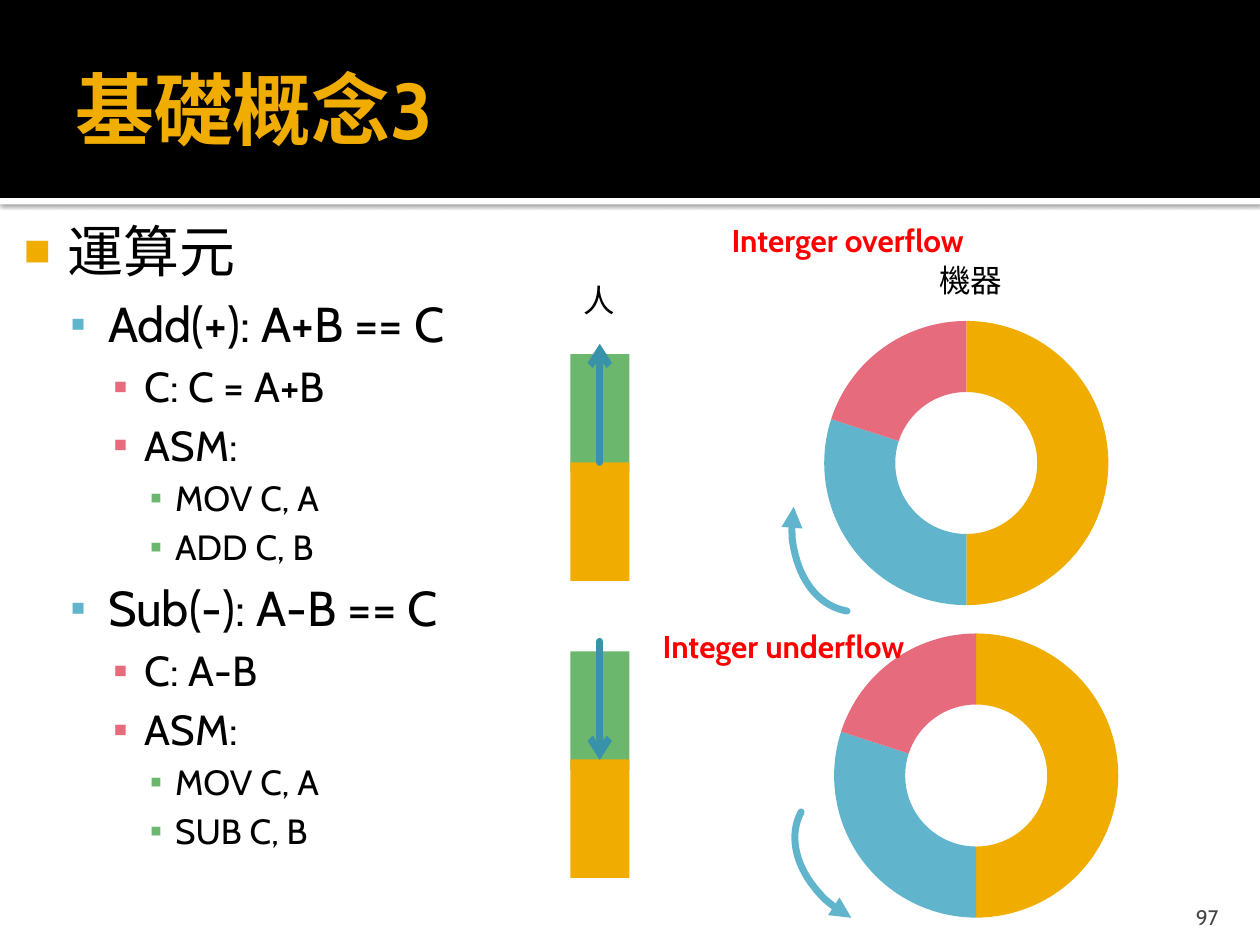
from lxml import etree
from pptx import Presentation
from pptx.chart.data import CategoryChartData
from pptx.dml.color import RGBColor
from pptx.enum.chart import XL_CHART_TYPE
from pptx.enum.shapes import MSO_CONNECTOR, MSO_SHAPE
from pptx.enum.text import MSO_ANCHOR, MSO_AUTO_SIZE, PP_ALIGN
from pptx.oxml import parse_xml
from pptx.oxml.ns import nsdecls, qn
from pptx.util import Cm, Pt

# Content; places and sizes are in centimetres
FONT = "Cabin"
GOLD, BLUE, PINK, GREEN = "F0AD00", "60B5CC", "E66C7D", "6BB76D"
BLACK, WHITE, RED, GREY, TEAL = "000000", "FFFFFF", "FF0000", "454545", "3792AA"

TITLE = "基礎概念3"
OUTLINE = [
    (0, "運算元"),
    (1, "Add(+): A+B == C"),
    (2, "C: C = A+B"),
    (2, "ASM:"),
    (3, "MOV C, A"),
    (3, "ADD C, B"),
    (1, "Sub(-): A-B == C"),
    (2, "C: A-B"),
    (2, "ASM:"),
    (3, "MOV C, A"),
    (3, "SUB C, B"),
]
# Per level: text size, left margin, hanging indent, bullet, its colour, its percent
LEVELS = [
    (32, 1.22, 0.89, "■", GOLD, 80),
    (28, 2.03, 0.76, "▪", BLUE, 90),
    (24, 2.77, 0.64, "▪", PINK, 100),
    (20, 3.38, 0.51, "▪", GREEN, 100),
]
LABELS = [
    ("人", (11.51, 5.54, 1.14, 1.02), BLACK, False),
    ("機器", (18.69, 5.13, 1.8, 1.02), BLACK, False),
    ("Integer underflow", (13.11, 12.52, 5.46, 1.02), RED, True),
    ("Interger overflow", (14.5, 4.32, 5.28, 1.02), RED, True),
]
SHARES = [("1", 50, GOLD), ("2", 30, BLUE), ("3", 20, PINK)]
RINGS = [(15.29, 6.12), (15.49, 12.42)]
# Stacked bars: top of the stack, arrow start, arrow end
STACKS = [(7.14, 9.32, 6.93), (13.13, 12.93, 15.32)]
# Curved arrows: left, top, rotation, flipped
ARCS = [(15.98, 8.53, 189.1, False), (16.43, 15.37, 118.4, True)]


def color(value):
    return RGBColor.from_string(value)


def place(*lengths):
    return [Cm(length) for length in lengths]


def add_filled(kind, area, fill):
    shape = page.shapes.add_shape(kind, *place(*area))
    shape.shadow.inherit = False
    shape.line.fill.background()
    shape.fill.solid()
    shape.fill.fore_color.rgb = color(fill)
    return shape


def set_font(para, size, fill, bold=False):
    font = para.font
    font.name, font.size, font.bold = FONT, Pt(size), bold
    font.color.rgb = color(fill)


def add_text(area, insets, anchor=MSO_ANCHOR.TOP, wrap=True):
    frame = page.shapes.add_textbox(*place(*area)).text_frame
    frame.word_wrap = wrap
    frame.vertical_anchor = anchor
    (frame.margin_left, frame.margin_top,
     frame.margin_right, frame.margin_bottom) = place(*insets)
    return frame


def add_line_arrow(shape, fill, head):
    shape.line.color.rgb = color(fill)
    shape.line.width = Pt(4)
    line = shape.line._get_or_add_ln()
    line.set("cap", "rnd")
    etree.SubElement(line, qn("a:tailEnd"), type=head)


def add_bullet(para, level):
    _, margin, hang, mark, fill, percent = LEVELS[level]
    props = para._p.get_or_add_pPr()
    props.set("marL", str(Cm(margin)))
    props.set("indent", str(-Cm(hang)))
    if level:
        before = etree.SubElement(props, qn("a:spcBef"))
        etree.SubElement(before, qn("a:spcPct"), val="20000")
    paint = etree.SubElement(props, qn("a:buClr"))
    etree.SubElement(paint, qn("a:srgbClr"), val=fill)
    etree.SubElement(props, qn("a:buSzPct"), val=str(percent * 1000))
    etree.SubElement(props, qn("a:buFont"), typeface="Arial")
    etree.SubElement(props, qn("a:buChar"), char=mark)


def add_ring(left, top):
    data = CategoryChartData()
    data.categories = [name for name, _, _ in SHARES]
    data.add_series("Series 1", [value for _, value, _ in SHARES])
    chart = page.shapes.add_chart(
        XL_CHART_TYPE.DOUGHNUT, *place(left, top, 8.38, 6.43), data).chart
    chart.has_legend = chart.has_title = False
    chart.font.name, chart.font.size = FONT, Pt(10)
    chart.font.color.rgb = color(BLACK)
    plot = chart.plots[0]
    plot.vary_by_categories = True
    for index, (_, _, fill) in enumerate(SHARES):
        look = plot.series[0].points[index].format
        look.fill.solid()
        look.fill.fore_color.rgb = color(fill)
        look.line.fill.background()


def add_stack(top, start, end):
    for offset, fill in ((0, GREEN), (2.18, GOLD)):
        add_filled(MSO_SHAPE.RECTANGLE, (11.5, top + offset, 1.19, 2.39), fill)
    arrow = page.shapes.add_connector(
        MSO_CONNECTOR.STRAIGHT, *place(12.09, start, 12.09, end))
    add_line_arrow(arrow, TEAL, "arrow")
    etree.SubElement(arrow._element.spPr, qn("a:effectLst"))


def add_arc(left, top, turn, flipped):
    arc = page.shapes.add_shape(MSO_SHAPE.ARC, *place(left, top, 2.79, 3.81))
    arc.fill.background()
    add_line_arrow(arc, BLUE, "triangle")
    arc.shadow.inherit = False
    arc.rotation = turn
    if flipped:
        arc._element.spPr.find(qn("a:xfrm")).set("flipV", "1")


deck = Presentation()
deck.slide_width, deck.slide_height = Cm(25.4), Cm(19.05)
page = deck.slides.add_slide(deck.slide_layouts[6])

# Header band with a shadowed white rule below
rule = add_filled(MSO_SHAPE.RECTANGLE, (0, 3.99, 25.4, 0.13), WHITE)
rule._element.spPr.find(qn("a:effectLst")).append(parse_xml(
    f'<a:outerShdw {nsdecls("a")} blurRad="{Pt(2.5)}" dist="{Pt(0.8)}" '
    'dir="5400000" algn="tl" rotWithShape="0"><a:srgbClr val="000000">'
    '<a:alpha val="60000"/></a:srgbClr></a:outerShdw>'))
add_filled(MSO_SHAPE.RECTANGLE, (0, 0, 25.4, 3.99), BLACK)
title = add_text((1.27, 0.43, 22.86, 3.48), (0.25, 0.13, 0.13, 0.13),
                 MSO_ANCHOR.MIDDLE).paragraphs[0]
title.text = TITLE
set_font(title, 45, GOLD, True)

# Outline
body = add_text((0, 4.11, 24.13, 14.94), (0.15, 0.25, 0.25, 0.13))
for number, (level, words) in enumerate(OUTLINE):
    para = body.add_paragraph() if number else body.paragraphs[0]
    para.text = words
    para.level = level
    add_bullet(para, level)
    set_font(para, LEVELS[level][0], BLACK)

# Page number
number_para = add_text((22.78, 17.98, 2.03, 0.76), (0.25, 0.13, 0.25, 0),
                       MSO_ANCHOR.BOTTOM).paragraphs[0]
number_para.text = "97"
number_para.alignment = PP_ALIGN.RIGHT
set_font(number_para, 12, GREY)

# Diagrams: addition above, subtraction below
for stack, ring, arc in zip(STACKS, RINGS, ARCS):
    add_stack(*stack)
    add_ring(*ring)
    add_arc(*arc)

# Diagram labels
for words, area, fill, bold in LABELS:
    frame = add_text(area, (0.25, 0.13, 0.25, 0.13), wrap=False)
    frame.auto_size = MSO_AUTO_SIZE.SHAPE_TO_FIT_TEXT
    frame.paragraphs[0].text = words
    set_font(frame.paragraphs[0], 18, fill, bold)

deck.save("out.pptx")
